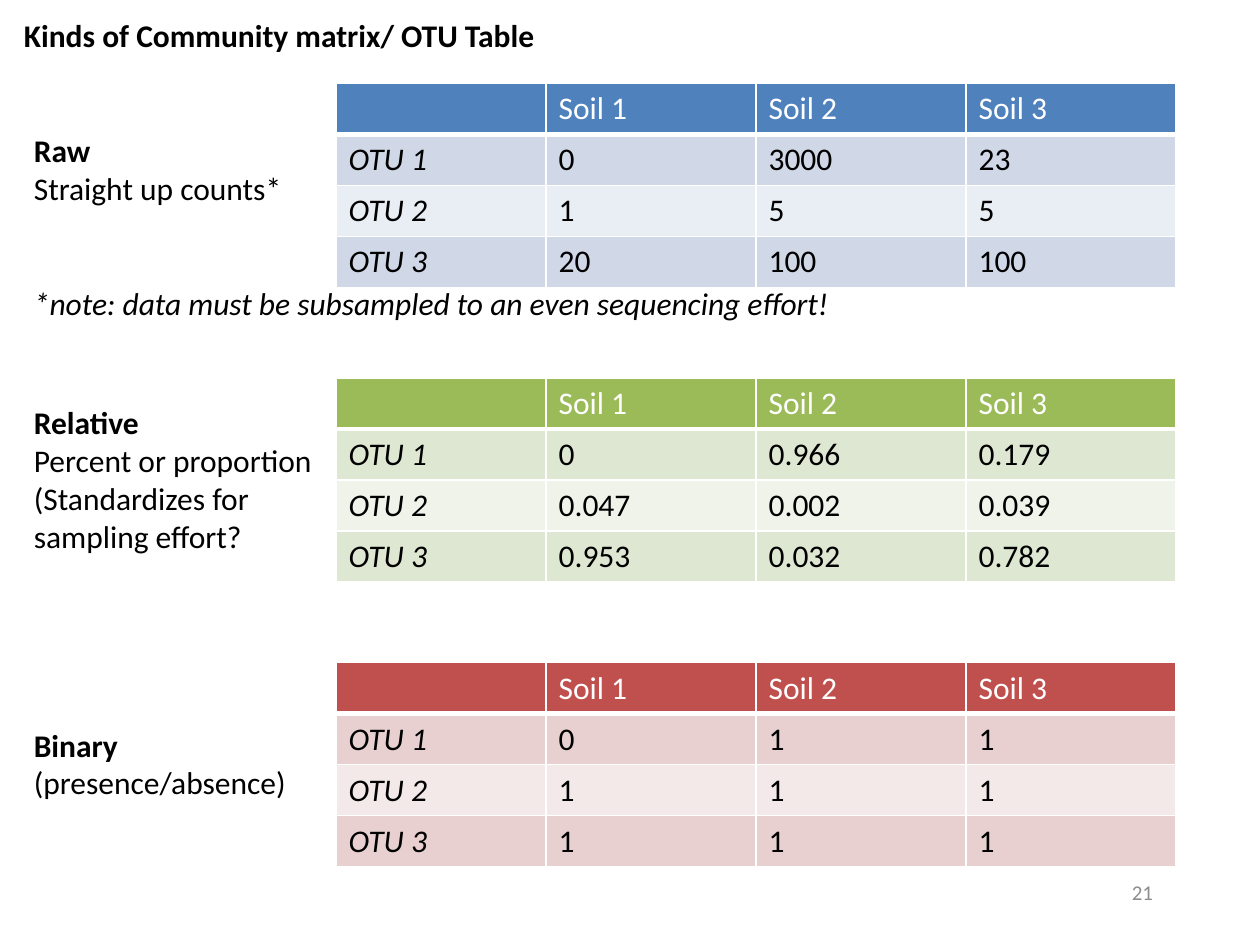
from dataclasses import dataclass

from lxml import etree
from pptx import Presentation, util as u
from pptx.dml.color import RGBColor
from pptx.enum import text as t
from pptx.oxml.ns import qn

SLIDE_WIDTH, SLIDE_HEIGHT = u.Inches(10), u.Inches(7.5)
UNIT = SLIDE_WIDTH / 100  # the slide is a grid of 100 columns by 75 rows


@dataclass(frozen=True)
class Theme:
    font: str = "Calibri"
    body_size: float = 18
    number_size: float = 12
    ink: str = "000000"
    paper: str = "FFFFFF"
    muted: str = "8C8C8C"
    thin_rule: float = 1
    header_rule: float = 3


@dataclass(frozen=True)
class Palette:
    header: str
    odd_row: str
    even_row: str


@dataclass(frozen=True)
class Box:
    """A place on the slide, in grid columns and rows."""
    left: float
    top: float
    width: float
    height: float

    def lengths(self) -> list[int]:
        return [round(n * UNIT) for n in (self.left, self.top, self.width, self.height)]


@dataclass(frozen=True)
class Line:
    wording: str
    bold: bool = False
    italic: bool = False
    space_before: float = 0


@dataclass(frozen=True)
class MatrixKind:
    label_box: Box
    label: tuple[Line, ...]
    label_wraps: bool
    table_top: float
    palette: Palette
    counts: tuple[tuple[str, ...], ...]


THEME = Theme()
TABLE_LEFT, TABLE_WIDTH, TABLE_HEIGHT = 26.67, 66.67, 16.2
SAMPLES = ("Soil 1", "Soil 2", "Soil 3")
TAXA = ("OTU 1", "OTU 2", "OTU 3")

KINDS = (
    MatrixKind(
        Box(1.7, 9.9, 66.5, 16.2),
        (Line("Raw", bold=True), Line("Straight up counts*"),
         Line("*note: data must be subsampled to an even sequencing effort!",
              italic=True, space_before=44)),
        False, 6.6, Palette("4F81BD", "D0D8E8", "E9EDF4"),
        (("0", "3000", "23"), ("1", "5", "5"), ("20", "100", "100")),
    ),
    MatrixKind(
        Box(1.7, 31.5, 24.3, 13.1),
        (Line("Relative", bold=True), Line("Percent or proportion"),
         Line("(Standardizes for sampling effort?")),
        True, 30, Palette("9BBB59", "DEE7D1", "EFF3EA"),
        (("0", "0.966", "0.179"), ("0.047", "0.002", "0.039"),
         ("0.953", "0.032", "0.782")),
    ),
    MatrixKind(
        Box(1.7, 57.1, 22.2, 7.1),
        (Line("Binary", bold=True), Line("(presence/absence)")),
        False, 52.6, Palette("C0504D", "E8D0D0", "F4E9E9"),
        (("0", "1", "1"), ("1", "1", "1"), ("1", "1", "1")),
    ),
)


def write(frame, *lines: Line, size: float = THEME.body_size, color: str = THEME.ink,
          align=t.PP_ALIGN.LEFT, anchor=t.MSO_ANCHOR.TOP, wrap: bool = True) -> None:
    frame.word_wrap = wrap
    frame.vertical_anchor = anchor
    for index, line in enumerate(lines):
        paragraph = frame.paragraphs[0] if index == 0 else frame.add_paragraph()
        paragraph.alignment = align
        if line.space_before:
            paragraph.space_before = u.Pt(line.space_before)
        run = paragraph.add_run()
        run.text = line.wording
        font = run.font
        font.name, font.size = THEME.font, u.Pt(size)
        font.bold, font.italic = line.bold, line.italic
        font.color.rgb = RGBColor.from_string(color)


def add_text(slide, box: Box, *lines: Line, **text_format) -> None:
    write(slide.shapes.add_textbox(*box.lengths()).text_frame, *lines, **text_format)


def rule_cell(cell, bottom: float) -> None:
    """Draw the four borders; call before filling, as the schema puts lines first."""
    properties = cell._tc.get_or_add_tcPr()
    thin = THEME.thin_rule
    for side, width in (("L", thin), ("R", thin), ("T", thin), ("B", bottom)):
        border = etree.SubElement(properties, qn(f"a:ln{side}"), w=str(u.Pt(width)))
        fill = etree.SubElement(border, qn("a:solidFill"))
        etree.SubElement(fill, qn("a:srgbClr"), val=THEME.paper)


def add_matrix(slide, kind: MatrixKind) -> None:
    grid = (("", *SAMPLES),
            *((taxon, *counts) for taxon, counts in zip(TAXA, kind.counts)))
    box = Box(TABLE_LEFT, kind.table_top, TABLE_WIDTH, TABLE_HEIGHT)
    matrix = slide.shapes.add_table(len(grid), len(grid[0]), *box.lengths()).table
    palette = kind.palette
    for r, entries in enumerate(grid):
        is_header = r == 0
        shade = (palette.header if is_header
                 else palette.odd_row if r % 2 else palette.even_row)
        for c, entry in enumerate(entries):
            cell = matrix.cell(r, c)
            rule_cell(cell, THEME.header_rule if is_header else THEME.thin_rule)
            cell.fill.solid()
            cell.fill.fore_color.rgb = RGBColor.from_string(shade)
            if entry:
                write(cell.text_frame, Line(entry, italic=c == 0 and not is_header),
                      color=THEME.paper if is_header else THEME.ink)


def add_title(slide, box: Box, wording: str) -> None:
    title = slide.shapes.title
    title.left, title.top, title.width, title.height = box.lengths()
    title.text_frame.auto_size = t.MSO_AUTO_SIZE.NONE
    write(title.text_frame, Line(wording, bold=True), wrap=False)


def main() -> None:
    deck = Presentation()
    deck.slide_width, deck.slide_height = SLIDE_WIDTH, SLIDE_HEIGHT
    title_only = deck.slide_layouts[5]
    slide = deck.slides.add_slide(title_only)

    add_title(slide, Box(0.9, 0.8, 43, 4), "Kinds of Community matrix/ OTU Table")
    for kind in KINDS:
        add_matrix(slide, kind)
        add_text(slide, kind.label_box, *kind.label, wrap=kind.label_wraps)
    add_text(slide, Box(71.7, 68.3, 20.8, 5), Line("21"), size=THEME.number_size,
             color=THEME.muted, align=t.PP_ALIGN.RIGHT, anchor=t.MSO_ANCHOR.MIDDLE)

    deck.save("out.pptx")


if __name__ == "__main__":
    main()
